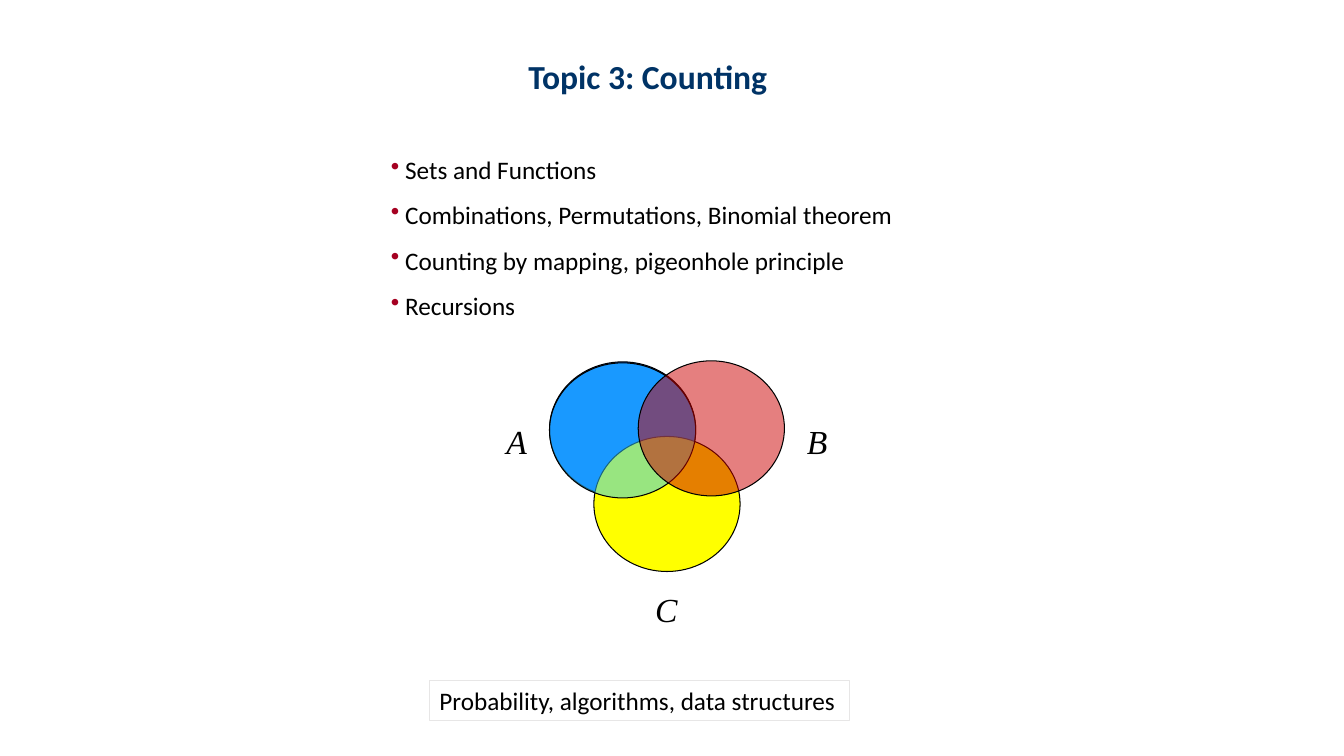
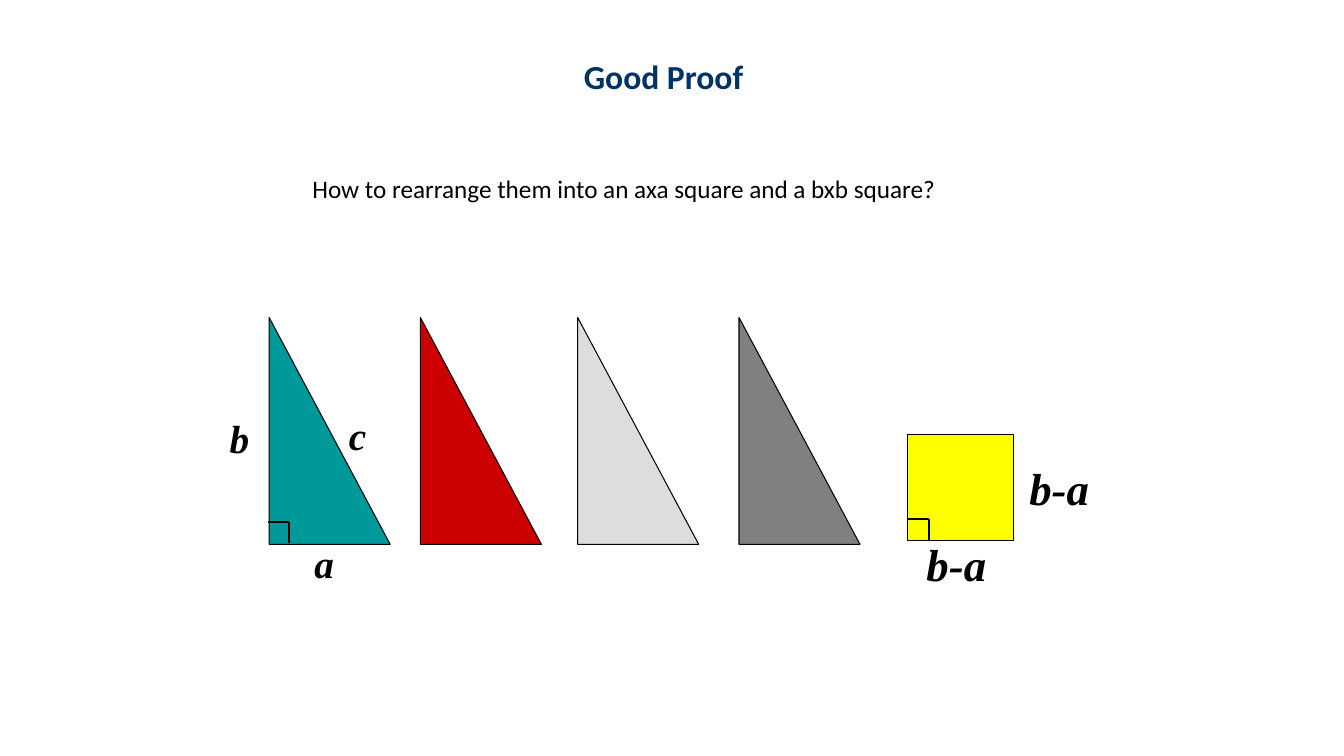
from lxml.etree import SubElement
from pptx import Presentation
from pptx.dml.color import RGBColor
from pptx.enum.shapes import MSO_CONNECTOR, MSO_SHAPE
from pptx.enum.text import MSO_ANCHOR, MSO_AUTO_SIZE, PP_ALIGN
from pptx.oxml.ns import qn
from pptx.util import Emu, Pt

EMU_PER_PX = 9144
TITLE_ONLY = 5
BODY_FONT, MATH_FONT = "Calibri", "Times New Roman"
BLACK, NAVY, CRIMSON, PALE = "000000", "003366", "A50021", "E7E6E6"
BLUE, CYAN, YELLOW, RED = "0066FF", "33CCFF", "FFFF00", "CC0000"
TEAL, SILVER, GREY = "009999", "DDDDDD", "808080"


def px(length):
    return Emu(length * EMU_PER_PX)


def color(hex_code):
    return RGBColor.from_string(hex_code)


class Deck:
    """The shared style and the slide being built."""

    def __init__(self, width, height):
        self.presentation = Presentation()
        self.presentation.slide_width = px(width)
        self.presentation.slide_height = px(height)
        self.slide = None

    def add_slide(self, title, left, width):
        layout = self.presentation.slide_layouts[TITLE_ONLY]
        self.slide = self.presentation.slides.add_slide(layout)
        shape = self.slide.shapes.title
        shape.left, shape.top = px(left), px(50)
        shape.width, shape.height = px(width), px(50)
        self.fit(shape.text_frame)
        paragraph = shape.text_frame.paragraphs[0]
        paragraph.alignment = PP_ALIGN.LEFT
        self.run(paragraph, title, 24, NAVY, bold=True)

    def fit(self, frame):
        frame.word_wrap = False
        frame.auto_size = MSO_AUTO_SIZE.SHAPE_TO_FIT_TEXT
        frame.vertical_anchor = MSO_ANCHOR.TOP

    def run(self, paragraph, text, size, ink=BLACK, name=BODY_FONT,
            bold=False, italic=False):
        run = paragraph.add_run()
        run.text = text
        run.font.name, run.font.size = name, Pt(size)
        run.font.bold, run.font.italic = bold, italic
        run.font.color.rgb = color(ink)

    def box(self, left, top, width, height):
        box = self.slide.shapes.add_textbox(px(left), px(top), px(width), px(height))
        self.fit(box.text_frame)
        return box

    def text(self, text, left, top, width, height, border=None):
        box = self.box(left, top, width, height)
        self.run(box.text_frame.paragraphs[0], text, 18)
        if border:
            self.outline(box, border)

    def label(self, text, left, top, width, height, size, bold=False):
        paragraph = self.box(left, top, width, height).text_frame.paragraphs[0]
        paragraph.alignment = PP_ALIGN.CENTER
        self.run(paragraph, text, size, name=MATH_FONT, bold=bold, italic=True)

    def bullets(self, items, left, top, width, height, indent=14):
        frame = self.box(left, top, width, height).text_frame
        for index, item in enumerate(items):
            paragraph = frame.add_paragraph() if index else frame.paragraphs[0]
            paragraph.line_spacing = 1.5
            properties = paragraph._p.get_or_add_pPr()
            properties.set("marL", str(px(indent)))
            properties.set("indent", str(-px(indent)))
            bullet_color = SubElement(properties, qn("a:buClr"))
            SubElement(bullet_color, qn("a:srgbClr"), val=CRIMSON)
            SubElement(properties, qn("a:buChar"), char="•")
            self.run(paragraph, item, 18)

    def outline(self, shape, ink=BLACK, weight=0.75):
        shape.line.color.rgb = color(ink)
        shape.line.width = Pt(weight)

    def shape(self, kind, left, top, width, height, fill, opacity=100):
        shape = self.slide.shapes.add_shape(
            kind, px(left), px(top), px(width), px(height))
        shape.shadow.inherit = False
        shape.fill.solid()
        shape.fill.fore_color.rgb = color(fill)
        if opacity < 100:
            fill_color = shape.element.spPr.find(qn("a:solidFill"))[0]
            SubElement(fill_color, qn("a:alpha"), val=str(opacity * 1000))
        self.outline(shape)

    def line(self, start_x, start_y, end_x, end_y):
        line = self.slide.shapes.add_connector(
            MSO_CONNECTOR.STRAIGHT, px(start_x), px(start_y), px(end_x), px(end_y))
        self.outline(line, weight=1.5)
        SubElement(line.element.spPr, qn("a:effectLst"))

    def right_angle(self, left, bottom, side=21):
        self.line(left, bottom - side, left + side, bottom - side)
        self.line(left + side, bottom - side, left + side, bottom)


def counting_slide(deck):
    deck.add_slide("Topic 3: Counting", 514, 259)
    deck.bullets(["Sets and Functions",
                  "Combinations, Permutations, Binomial theorem",
                  "Counting by mapping, pigeonhole principle",
                  "Recursions"], 378, 133, 527, 192)
    deck.text("Probability, algorithms, data structures",
              426, 675, 417, 40, border=PALE)

    # Venn diagram
    for name, left, top in (("A", 492, 413), ("B", 790, 413), ("C", 640, 579)):
        deck.label(name, left, top, 41, 50, 24)
    for left, top, fill, opacity in ((545, 359, BLUE, 100), (589, 433, YELLOW, 100),
                                     (545, 360, CYAN, 50), (633, 358, RED, 50)):
        deck.shape(MSO_SHAPE.OVAL, left, top, 145, 134, fill, opacity)


def proof_slide(deck):
    deck.add_slide("Good Proof", 569, 179)
    deck.text("How to rearrange them into an axa square and a bxb square?",
              300, 167, 646, 40)

    # Four equal triangles
    for left, fill in ((267, TEAL), (417, RED), (573, SILVER), (733, GREY)):
        deck.shape(MSO_SHAPE.RIGHT_TRIANGLE, left, 315, 120, 225, fill)
    deck.right_angle(266, 539)
    for name, left, top in (("a", 302, 530), ("b", 218, 406), ("c", 335, 403)):
        deck.label(name, left, top, 39, 57, 28, bold=True)

    # Small square
    deck.shape(MSO_SHAPE.RECTANGLE, 900, 431, 105, 105, YELLOW)
    deck.right_angle(900, 536)
    for left, top in ((909, 528), (1011, 452)):
        deck.label("b-a", left, top, 79, 63, 32, bold=True)


def main():
    deck = Deck(1333, 750)
    counting_slide(deck)
    proof_slide(deck)
    deck.presentation.save("out.pptx")


if __name__ == "__main__":
    main()
